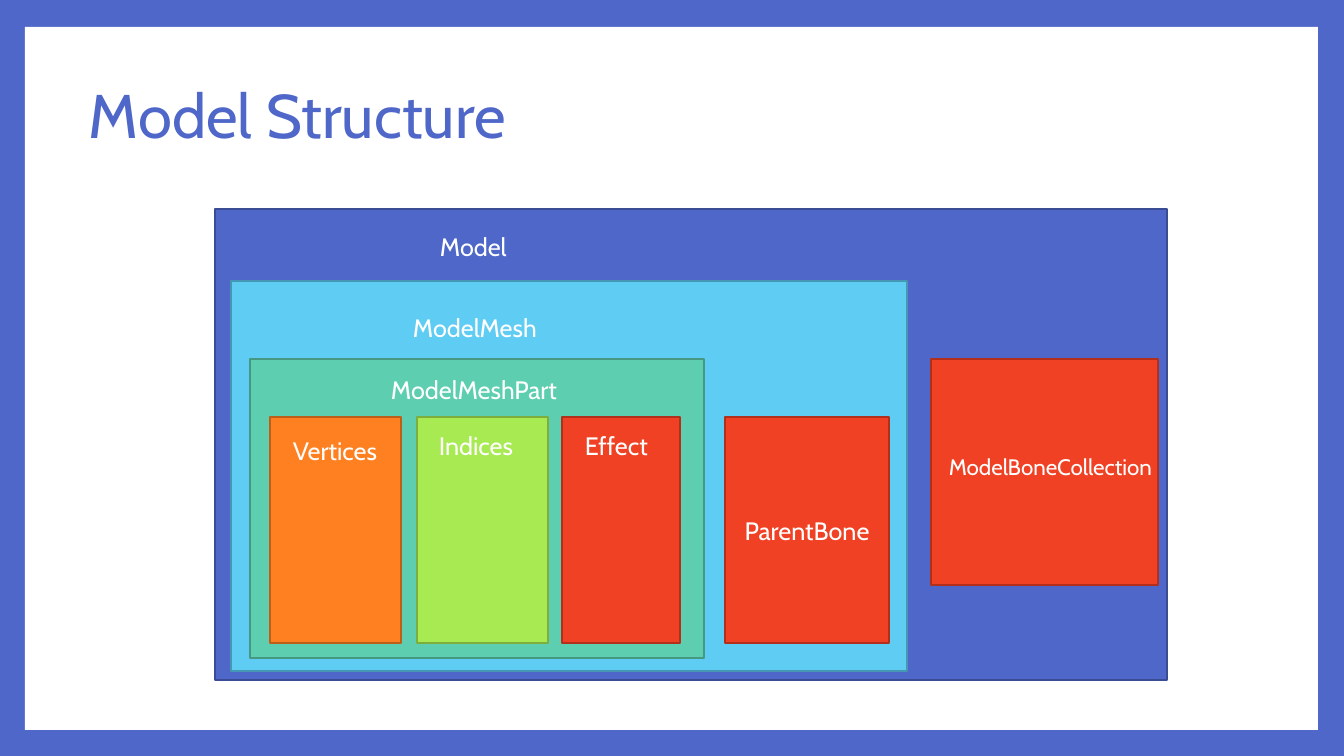
import pptx
import pptx.util
import pptx.dml.color
import pptx.enum.shapes
import pptx.enum.text

PX = 914400 / 100.8  # EMU per pixel

COLORS = {
    "blue": "4E67C8", "blue edge": "3A4C94",
    "sky": "5ECCF3", "sky edge": "4697B4",
    "teal": "5DCEAF", "teal edge": "459881",
    "orange": "FF8021", "orange edge": "BD5F18",
    "lime": "A7EA52", "lime edge": "7CAD3D",
    "red": "F14124", "red edge": "B2301B",
    "white": "FFFFFF",
}


def rgb(name):
    return pptx.dml.color.RGBColor.from_string(COLORS[name])


def write(frame, words, size, color):
    frame.text = words
    font = frame.paragraphs[0].runs[0].font
    font.name = "Cabin"
    font.size = pptx.util.Pt(size)
    font.color.rgb = rgb(color)


deck = pptx.Presentation()
deck.slide_width = round(1344 * PX)
deck.slide_height = round(756 * PX)
slide = deck.slides.add_slide(deck.slide_layouts[6])
slide.background.fill.solid()
slide.background.fill.fore_color.rgb = rgb("blue")

# Panel and nested boxes, outermost first: fill, left, top, width, height, inner label
boxes = [
    ("white", 25, 27, 1293, 703, None),
    ("blue", 215, 209, 952, 471, None),
    ("sky", 231, 281, 676, 390, None),
    ("teal", 250, 359, 454, 299, None),
    ("orange", 270, 417, 131, 226, None),
    ("lime", 417, 417, 131, 226, None),
    ("red", 562, 417, 118, 226, None),
    ("red", 931, 359, 227, 226, None),
    ("red", 725, 417, 164, 226, "ParentBone"),
]
for fill, left, top, width, height, label in boxes:
    box = slide.shapes.add_shape(
        pptx.enum.shapes.MSO_SHAPE.RECTANGLE,
        *(round(n * PX) for n in (left, top, width, height)))
    box.shadow.inherit = False
    box.fill.solid()
    box.fill.fore_color.rgb = rgb(fill)
    if fill == "white":
        box.line.fill.background()
    else:
        box.line.color.rgb = rgb(fill + " edge")
        box.line.width = pptx.util.Pt(1.5)
    if label:
        write(box.text_frame, label, 18, "white")
        box.text_frame.vertical_anchor = pptx.enum.text.MSO_ANCHOR.MIDDLE
        box.text_frame.paragraphs[0].alignment = pptx.enum.text.PP_ALIGN.CENTER

# Title and free-standing labels: words, left, top, width, height, size, color
labels = [
    ("Model Structure", 79, 44, 1089, 149, 44, "blue"),
    ("Model", 430, 226, 92, 40, 18, "white"),
    ("ModelMesh", 403, 307, 145, 40, 18, "white"),
    ("ModelMeshPart", 381, 369, 188, 40, 18, "white"),
    ("Vertices", 283, 430, 108, 40, 18, "white"),
    ("Indices", 429, 425, 102, 40, 18, "white"),
    ("Effect", 575, 425, 92, 40, 18, "white"),
    ("ModelBoneCollection", 939, 448, 227, 37, 16, "white"),
]
for words, left, top, width, height, size, color in labels:
    caption = slide.shapes.add_textbox(
        *(round(n * PX) for n in (left, top, width, height)))
    frame = caption.text_frame
    frame.word_wrap = True
    write(frame, words, size, color)
    if size == 44:
        frame.vertical_anchor = pptx.enum.text.MSO_ANCHOR.MIDDLE
        frame.paragraphs[0].line_spacing = 0.9
    else:
        frame.auto_size = pptx.enum.text.MSO_AUTO_SIZE.SHAPE_TO_FIT_TEXT

deck.save("out.pptx")
